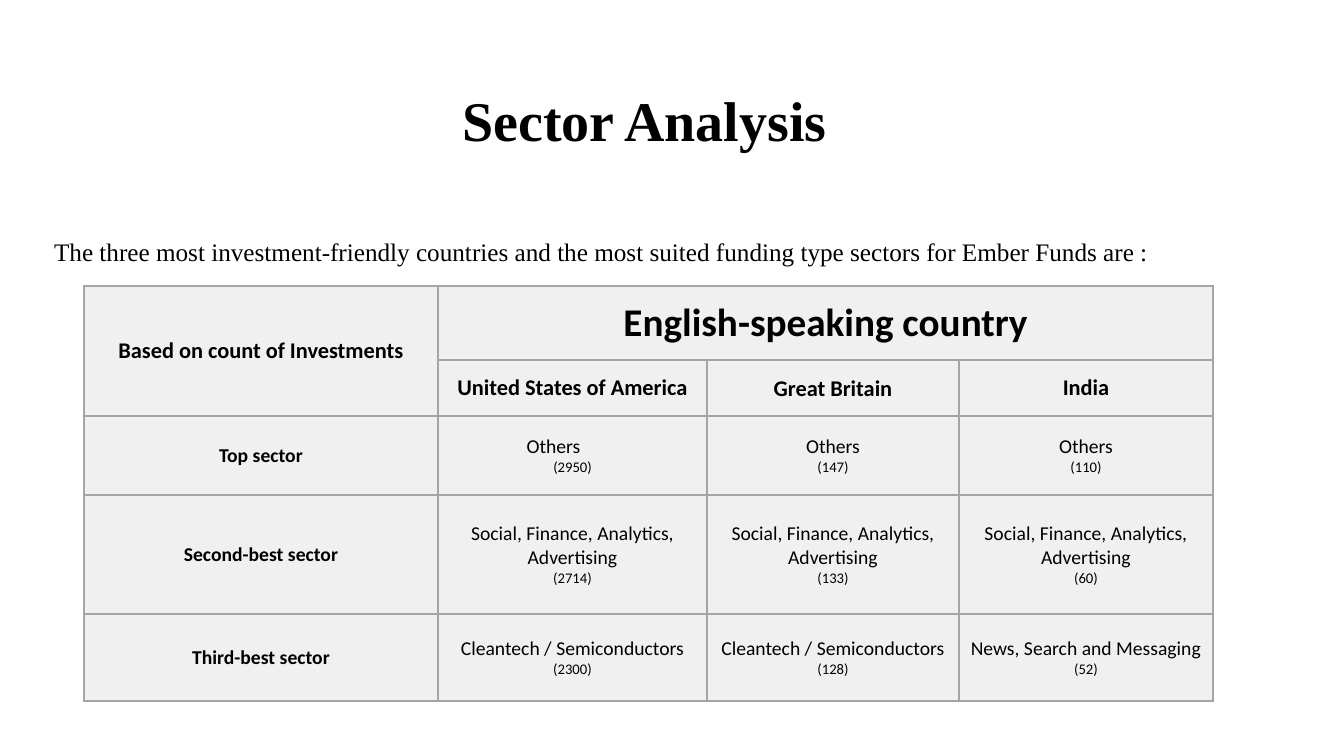
from lxml.etree import SubElement
from pptx import Presentation
from pptx.dml.color import RGBColor
from pptx.enum.text import MSO_ANCHOR, MSO_AUTO_SIZE, PP_ALIGN
from pptx.oxml.ns import qn
from pptx.util import Pt

EMU_PER_PIXEL = 914400 / 100.8
BLACK = RGBColor(0x00, 0x00, 0x00)
CELL_GREY = RGBColor(0xF0, 0xF0, 0xF0)
BORDER_GREY = RGBColor(0xA5, 0xA5, 0xA5)


def px(pixels):
    """Turn pixels into whole EMU."""
    return round(pixels * EMU_PER_PIXEL)


def style(para, size, name="Calibri", bold=False, align=PP_ALIGN.CENTER):
    """Set the font and alignment of a paragraph."""
    para.alignment = align
    para.font.name = name
    para.font.size = Pt(size)
    para.font.bold = bold
    para.font.color.rgb = BLACK


deck = Presentation()
deck.slide_width, deck.slide_height = px(1344), px(756)
page = deck.slides.add_slide(deck.slide_layouts[1])

# Title and introduction
title, intro = page.placeholders
title.left, title.top, title.width, title.height = px(131), px(76), px(1027), px(95)
intro.left, intro.top, intro.width, intro.height = px(44), px(235), px(1231), px(479)
title.text_frame.text = "Sector Analysis"
intro.text_frame.text = ("The three most investment-friendly countries and the most "
                         "suited funding type sectors for Ember Funds are :")
for box, anchor in ((title, MSO_ANCHOR.MIDDLE), (intro, MSO_ANCHOR.TOP)):
    box.text_frame.auto_size = MSO_AUTO_SIZE.NONE
    box.text_frame.vertical_anchor = anchor
    para = box.text_frame.paragraphs[0]
    para.line_spacing = 0.9
    para.space_before = Pt(0)
style(title.text_frame.paragraphs[0], 40, "Times New Roman", True)
intro_para = intro.text_frame.paragraphs[0]
style(intro_para, 18, "Times New Roman", align=PP_ALIGN.LEFT)
intro_props = intro_para._p.get_or_add_pPr()
intro_props.set("marL", "0")
intro_props.set("indent", "0")
bullet = SubElement(intro_props, qn("a:buNone"))
intro_props.find(qn("a:defRPr")).addprevious(bullet)

# Sector table: each text line is followed by its investment count
SOCIAL = "Social, Finance, Analytics, Advertising"
CLEANTECH = "Cleantech / Semiconductors"
ROWS = [
    ["Based on count of Investments", "English-speaking country", "", ""],
    ["", "United States of America", "Great Britain", "India"],
    ["Top sector", "Others\n(2950)", "Others\n(147)", "Others\n(110)"],
    ["Second-best sector", f"{SOCIAL}\n(2714)", f"{SOCIAL}\n(133)", f"{SOCIAL}\n(60)"],
    ["Third-best sector", f"{CLEANTECH}\n(2300)", f"{CLEANTECH}\n(128)",
     "News, Search and Messaging\n(52)"],
]
COLUMN_WIDTHS = [354, 269, 252, 254]
ROW_HEIGHTS = [74, 56, 79, 119, 87]

frame = page.shapes.add_table(len(ROWS), len(COLUMN_WIDTHS), px(84), px(286),
                              px(sum(COLUMN_WIDTHS)), px(sum(ROW_HEIGHTS)))
table = frame.table
table.first_row = table.horz_banding = False
for column, width in zip(table.columns, COLUMN_WIDTHS):
    column.width = px(width)
for row, height in zip(table.rows, ROW_HEIGHTS):
    row.height = px(height)
table.cell(0, 0).merge(table.cell(1, 0))
table.cell(0, 1).merge(table.cell(0, 3))

for r, texts in enumerate(ROWS):
    for c, text in enumerate(texts):
        cell = table.cell(r, c)
        cell.vertical_anchor = MSO_ANCHOR.MIDDLE
        cell.margin_left = cell.margin_right = px(1)
        tight = c == 2 and r > 0
        cell.margin_top, cell.margin_bottom = (px(1), 0) if tight else (px(5), px(5))
        cell_props = cell._tc.get_or_add_tcPr()
        for side in ("lnL", "lnR", "lnT", "lnB"):
            line = SubElement(cell_props, qn(f"a:{side}"), w=str(Pt(1)))
            fill = SubElement(line, qn("a:solidFill"))
            SubElement(fill, qn("a:srgbClr"), val=str(BORDER_GREY))
        cell.fill.solid()
        cell.fill.fore_color.rgb = CELL_GREY
        if not text:
            continue
        cell.text = text
        if (r, c) == (0, 1):
            first_size = 28
        else:
            first_size = 16 if r < 2 else 14
        for para, size in zip(cell.text_frame.paragraphs, (first_size, 10.5)):
            style(para, size, bold=r < 2 or c == 0)

# "Others" for the United States sits left of centre, its count stays centred
us_top = table.cell(2, 1)
us_top.margin_right = px(39)
us_top.text_frame.paragraphs[1]._p.get_or_add_pPr().set("marL", str(px(38)))

deck.save("out.pptx")
